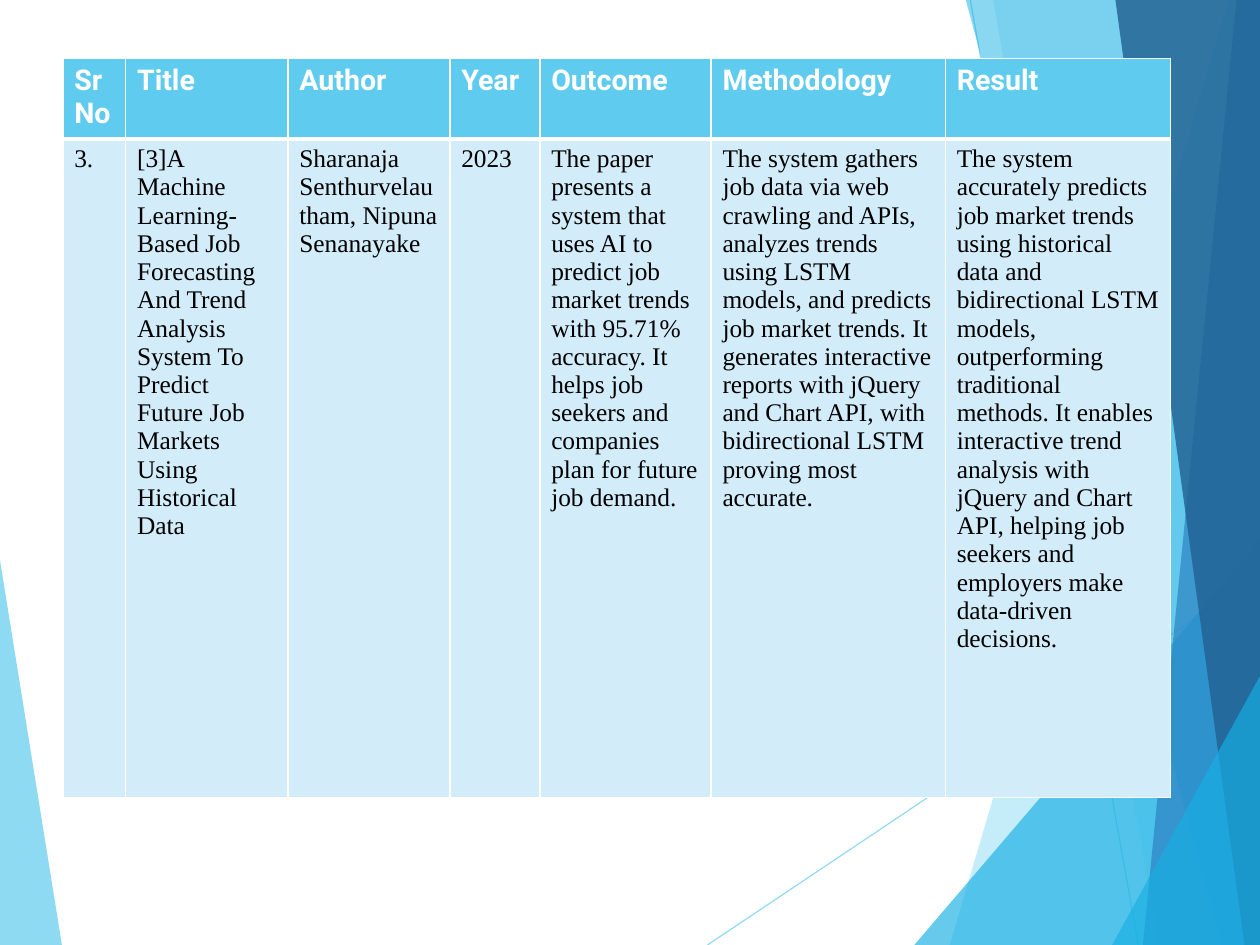
from lxml.etree import SubElement
from pptx import Presentation
from pptx.dml.color import RGBColor
from pptx.enum.shapes import MSO_CONNECTOR
from pptx.oxml.ns import qn
from pptx.util import Pt

SKY = RGBColor(0x5F, 0xCB, 0xEF)
CYAN = RGBColor(0x17, 0xB0, 0xE4)
BLUE = RGBColor(0x2E, 0x83, 0xC3)
NAVY = RGBColor(0x22, 0x62, 0x92)
PALE = RGBColor(0xD2, 0xEC, 0xF9)
WHITE = RGBColor(0xFF, 0xFF, 0xFF)
BLACK = RGBColor(0, 0, 0)

WIDTH, HEIGHT = 793.75, 595.25

# Corner points, colour and opacity in percent, from back to front
LEFT_FACET = ([(-0.7, 348.5), (39, HEIGHT), (-0.7, HEIGHT)], SKY, 70)
RIGHT_FACETS = [
    ([(774, 0), (598.3, HEIGHT), (WIDTH, HEIGHT), (WIDTH, 0)], SKY, 36),
    ([(625.7, 0), (730, HEIGHT), (WIDTH, HEIGHT), (WIDTH, 0)], SKY, 20),
    ([(576, HEIGHT), (WIDTH, 340.6), (WIDTH, HEIGHT)], CYAN, 66),
    ([(608.4, 0), (769.7, HEIGHT), (WIDTH, HEIGHT), (WIDTH, 0)], CYAN, 50),
    ([(779, 0), (720, HEIGHT), (WIDTH, HEIGHT), (WIDTH, 0)], BLUE, 70),
    ([(702.7, 0), (784, HEIGHT), (WIDTH, HEIGHT), (WIDTH, 0)], NAVY, 82),
    ([(700.6, HEIGHT), (WIDTH, 425.8), (WIDTH, HEIGHT)], CYAN, 66),
]
RAYS = [(445.7, HEIGHT, WIDTH, 362.2), (611.3, 0, 717.1, HEIGHT)]

COLUMN_WIDTHS = [39.6, 102.2, 102, 56.7, 107.9, 147.6, 141.7]
ROW_HEIGHTS = [51.1, 414.7]
HEADINGS = ["Sr No", "Title", "Author", "Year", "Outcome", "Methodology", "Result"]
PAPER = [
    "3.",
    "[3]A Machine Learning-Based Job Forecasting And Trend Analysis System "
    "To Predict Future Job Markets Using Historical Data",
    "Sharanaja Senthurvelautham, Nipuna Senanayake",
    "2023",
    "The paper presents a system that uses AI to predict job market trends with "
    "95.71% accuracy. It helps job seekers and companies plan for future job demand.",
    "The system gathers job data via web crawling and APIs, analyzes trends using "
    "LSTM models, and predicts job market trends. It generates interactive reports "
    "with jQuery and Chart API, with bidirectional LSTM proving most accurate.",
    "The system accurately predicts job market trends using historical data and "
    "bidirectional LSTM models, outperforming traditional methods. It enables "
    "interactive trend analysis with jQuery and Chart API, helping job seekers and "
    "employers make data-driven decisions.",
]


def set_opacity(element, percent):
    for color in element.iter(qn("a:srgbClr")):
        SubElement(color, qn("a:alpha"), val=str(percent * 1000))


def add_facet(slide, points, color, opacity):
    corners = [(Pt(x), Pt(y)) for x, y in points]
    builder = slide.shapes.build_freeform(*corners[0])
    builder.add_line_segments(corners[1:], close=True)
    shape = builder.convert_to_shape()
    shape.shadow.inherit = False
    shape.fill.solid()
    shape.fill.fore_color.rgb = color
    shape.line.fill.background()
    set_opacity(shape.element, opacity)


def add_ray(slide, *ends):
    connector = slide.shapes.add_connector(
        MSO_CONNECTOR.STRAIGHT, *[Pt(value) for value in ends])
    connector.line.color.rgb = SKY
    connector.line.width = Pt(0.75)
    properties = connector.element.spPr
    set_opacity(properties, 70)
    SubElement(properties, qn("a:effectLst"))


def write_text(frame, text, *, font, size, color, bold=False):
    paragraph = frame.paragraphs[0]
    run = paragraph.add_run()
    run.text = text
    run.font.name = font
    run.font.size = Pt(size)
    run.font.color.rgb = color
    run.font.bold = bold


def set_borders(cell, **widths):
    properties = cell._tc.get_or_add_tcPr()
    for side in ("L", "R", "T", "B"):
        line = SubElement(properties, qn(f"a:ln{side}"), w=str(Pt(widths.get(side, 1))))
        fill = SubElement(line, qn("a:solidFill"))
        SubElement(fill, qn("a:srgbClr"), val=str(WHITE))


def fill_row(table, row, texts, fill, borders, **text_format):
    for column, text in enumerate(texts):
        cell = table.cell(row, column)
        set_borders(cell, **borders)
        cell.fill.solid()
        cell.fill.fore_color.rgb = fill
        write_text(cell.text_frame, text, **text_format)


def add_paper_table(slide):
    frame = slide.shapes.add_table(
        len(ROW_HEIGHTS), len(COLUMN_WIDTHS), Pt(39.6), Pt(36.7),
        Pt(sum(COLUMN_WIDTHS)), Pt(sum(ROW_HEIGHTS)))
    table = frame.table
    for column, width in zip(table.columns, COLUMN_WIDTHS):
        column.width = Pt(width)
    for row, height in zip(table.rows, ROW_HEIGHTS):
        row.height = Pt(height)
    fill_row(table, 0, HEADINGS, SKY, {"B": 3},
             font="Roboto", size=18, color=WHITE, bold=True)
    fill_row(table, 1, PAPER, PALE, {"T": 3},
             font="Times New Roman", size=16, color=BLACK)


def main():
    presentation = Presentation()
    presentation.slide_width = Pt(WIDTH)
    presentation.slide_height = Pt(HEIGHT)
    slide = presentation.slides.add_slide(presentation.slide_layouts[6])

    # Faceted background
    add_facet(slide, *LEFT_FACET)
    for ray in RAYS:
        add_ray(slide, *ray)
    for facet in RIGHT_FACETS:
        add_facet(slide, *facet)

    # Literature survey table
    add_paper_table(slide)

    presentation.save("out.pptx")


if __name__ == "__main__":
    main()
